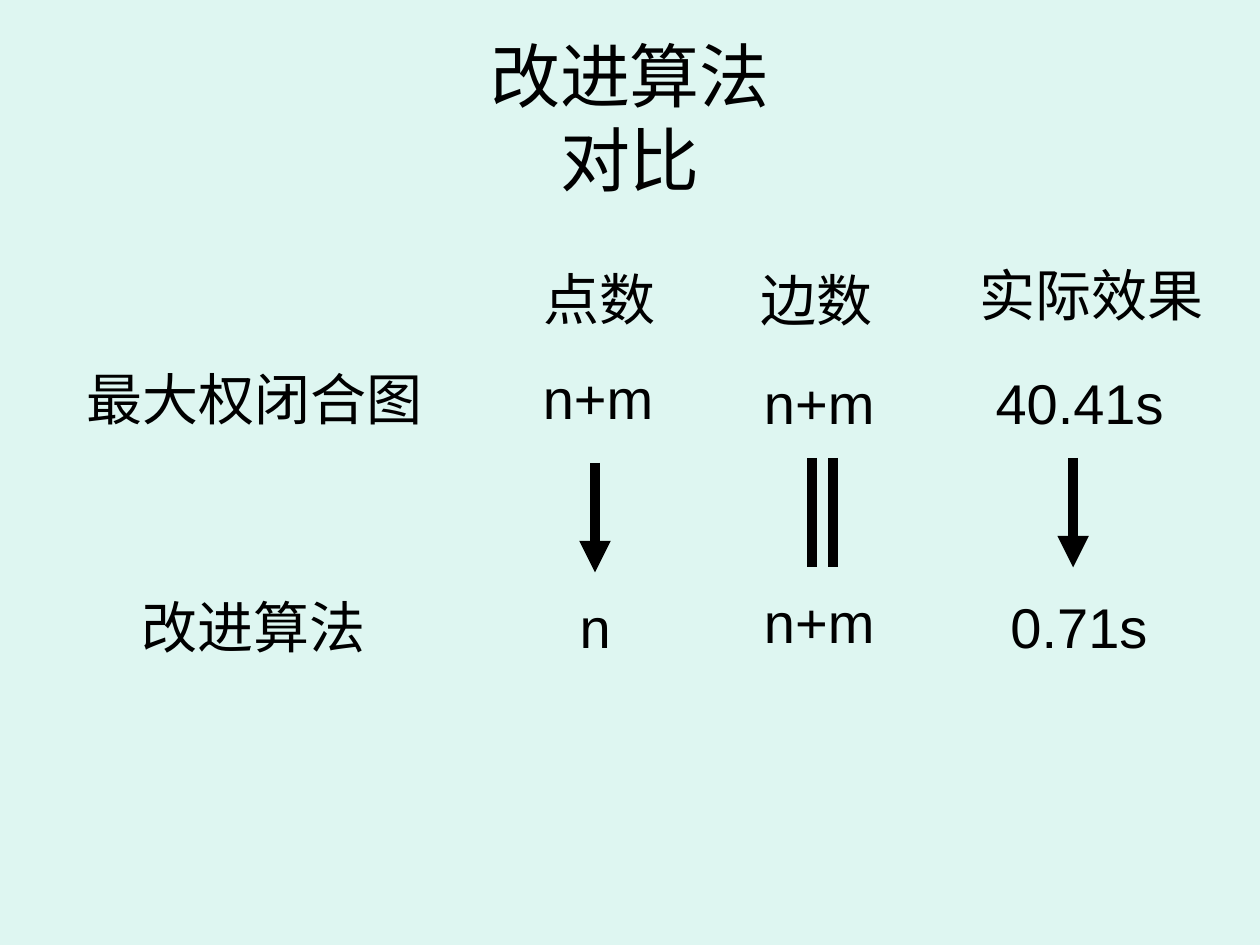
from pptx import Presentation
from pptx.dml.color import RGBColor
from pptx.enum.shapes import MSO_CONNECTOR
from pptx.enum.text import MSO_ANCHOR, MSO_AUTO_SIZE, PP_ALIGN
from pptx.oxml.ns import qn
from pptx.util import Pt
from lxml import etree

STRAIGHT = MSO_CONNECTOR.STRAIGHT
MIDDLE, TOP = MSO_ANCHOR.MIDDLE, MSO_ANCHOR.TOP
GROW, FIXED = MSO_AUTO_SIZE.SHAPE_TO_FIT_TEXT, MSO_AUTO_SIZE.NONE
CENTER = PP_ALIGN.CENTER

COLORS = {"background": "DEF6F1", "ink": "000000"}
LABEL_HEIGHT = 45.4
LINE_LENGTH = 62.6

# text, centre x, top, width
LABELS = [
    ("点数", 342.4, 147.6, 80),
    ("边数", 466.9, 148.3, 80),
    ("实际效果", 623.6, 145.4, 144),
    ("最大权闭合图", 145.8, 204.5, 208),
    ("n+m", 341.8, 204.2, 80),
    ("n+m", 468.2, 207.2, 80),
    ("40.41s", 617, 207.2, 114),
    ("改进算法", 144.7, 335.3, 144),
    ("n", 340.2, 335.2, 34),
    ("n+m", 468.2, 332.3, 80),
    ("0.71s", 616.6, 335.2, 96),
]

# x, top, has arrowhead
LINES = [
    (340, 264.5, True),
    (464, 261.6, False),
    (476, 261.6, False),
    (613.2, 261.6, True),
]


class SlideBuilder:
    font = "Arial"
    title_size = 40
    label_size = 32
    line_width = 6

    def __init__(self, slide):
        self.slide = slide

    def color(self, name):
        return RGBColor.from_string(COLORS[name])

    def background(self):
        fill = self.slide.background.fill
        fill.solid()
        fill.fore_color.rgb = self.color("background")

    def text(self, lines, left, top, width, height, size, anchor, wrap, fit):
        s = self.slide.shapes.add_textbox(Pt(left), Pt(top), Pt(width), Pt(height))
        tf = s.text_frame
        tf.word_wrap = wrap
        tf.auto_size = fit
        tf.vertical_anchor = anchor
        p = tf.paragraphs[0]
        p.alignment = CENTER
        for i, line in enumerate(lines):
            if i:
                p.add_line_break()
            r = p.add_run()
            r.text = line
            r.font.name = self.font
            r.font.size = Pt(size)
            r.font.color.rgb = self.color("ink")

    def title(self, *lines):
        self.text(lines, 36, 21.6, 648, 90, self.title_size, MIDDLE, True, FIXED)

    def label(self, text, center, top, width):
        self.text([text], center - width / 2, top, width, LABEL_HEIGHT,
                  self.label_size, TOP, False, GROW)

    def vertical_line(self, x, top, arrow):
        s = self.slide.shapes.add_connector(
            STRAIGHT, Pt(x), Pt(top), Pt(x), Pt(top + LINE_LENGTH))
        s.line.width = Pt(self.line_width)
        s.line.color.rgb = self.color("ink")
        if arrow:
            etree.SubElement(s.line._get_or_add_ln(), qn("a:tailEnd"), type="triangle")
        etree.SubElement(s._element.spPr, qn("a:effectLst"))


def main():
    prs = Presentation()
    prs.slide_width, prs.slide_height = Pt(720), Pt(540)
    builder = SlideBuilder(prs.slides.add_slide(prs.slide_layouts[6]))
    builder.background()
    builder.title("改进算法", "对比")
    for label in LABELS:
        builder.label(*label)
    for line in LINES:
        builder.vertical_line(*line)
    prs.save("out.pptx")


if __name__ == "__main__":
    main()
